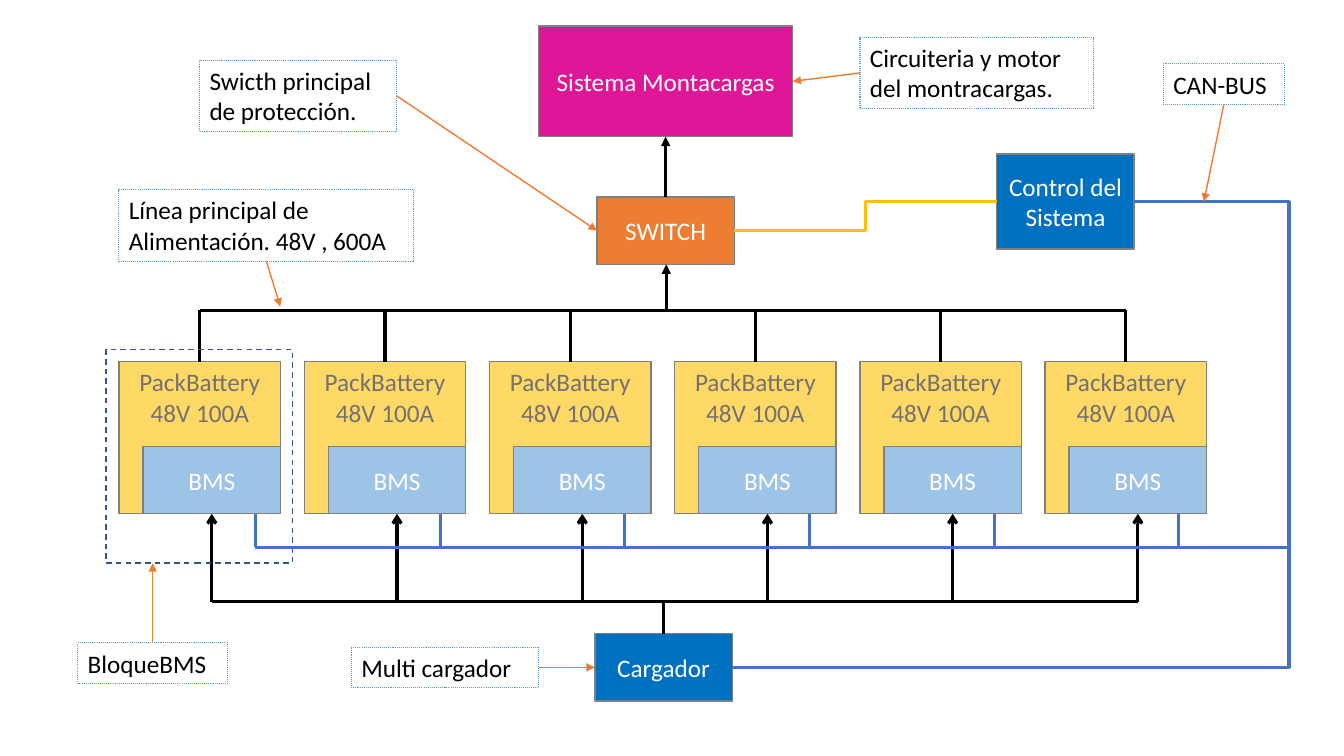
from dataclasses import dataclass
from typing import NamedTuple, Optional

from lxml.etree import SubElement
from pptx import Presentation
from pptx.dml.color import RGBColor
from pptx.enum.dml import MSO_LINE as Dash
from pptx.enum.shapes import MSO_CONNECTOR as Route, MSO_SHAPE as Preset
from pptx.enum.text import MSO_ANCHOR as Anchor, PP_ALIGN as Align
from pptx.oxml.ns import qn
from pptx.util import Pt


@dataclass(frozen=True)
class Theme:
    font: str = "Calibri"
    text_size: float = 18
    wire: float = 2.25
    border: float = 1
    note_border: float = 0.75
    black: str = "000000"
    white: str = "FFFFFF"
    gray: str = "808080"
    pack: str = "FFD966"
    pack_text: str = "767171"
    bms: str = "9DC3E6"
    orange: str = "ED7D31"
    magenta: str = "DE1697"
    blue: str = "0070C0"
    can_bus: str = "4472C4"
    signal: str = "FFC000"
    note_line: str = "5B9BD5"
    group_line: str = "325491"


THEME = Theme()


class Box(NamedTuple):
    left: float
    top: float
    width: float
    height: float
    text: str = ""
    fill: Optional[str] = None
    color: str = THEME.white
    line: str = THEME.gray
    line_width: float = THEME.border
    dash: Optional[Dash] = None
    align: Align = Align.CENTER
    anchor: Anchor = Anchor.MIDDLE


class Wire(NamedTuple):
    x1: float
    y1: float
    x2: float
    y2: float
    color: str = THEME.black
    width: float = THEME.wire
    tip: Optional[str] = None
    route: Route = Route.STRAIGHT
    bend: Optional[float] = None


def note(left: float, top: float, width: float, height: float, text: str) -> Box:
    return Box(left, top, width, height, text, None, THEME.black, THEME.note_line,
               THEME.note_border, Dash.ROUND_DOT, Align.LEFT, Anchor.TOP)


def pointer(x1: float, y1: float, x2: float, y2: float) -> Wire:
    return Wire(x1, y1, x2, y2, THEME.orange, THEME.border, "triangle")


def draw_box(box: Box) -> None:
    shape = slide.shapes.add_shape(
        Preset.RECTANGLE, Pt(box.left), Pt(box.top), Pt(box.width), Pt(box.height))
    shape.shadow.inherit = False
    if box.fill:
        shape.fill.solid()
        shape.fill.fore_color.rgb = RGBColor.from_string(box.fill)
    else:
        shape.fill.background()
    shape.line.color.rgb = RGBColor.from_string(box.line)
    shape.line.width = Pt(box.line_width)
    if box.dash:
        shape.line.dash_style = box.dash
    if not box.text:
        return
    frame = shape.text_frame
    frame.text = box.text
    frame.word_wrap = True
    frame.vertical_anchor = box.anchor
    paragraph = frame.paragraphs[0]
    paragraph.alignment = box.align
    font = paragraph.runs[0].font
    font.name, font.size = THEME.font, Pt(THEME.text_size)
    font.color.rgb = RGBColor.from_string(box.color)


def draw_wire(wire: Wire) -> None:
    connector = slide.shapes.add_connector(
        wire.route, Pt(wire.x1), Pt(wire.y1), Pt(wire.x2), Pt(wire.y2))
    connector.line.color.rgb = RGBColor.from_string(wire.color)
    connector.line.width = Pt(wire.width)
    properties = connector._element.spPr
    if wire.tip:
        SubElement(properties.find(qn("a:ln")), qn("a:tailEnd"), type=wire.tip)
    if wire.bend is not None:
        geometry = properties.find(qn("a:prstGeom"))
        adjustments = geometry.find(qn("a:avLst"))
        if adjustments is None:
            adjustments = SubElement(geometry, qn("a:avLst"))
        SubElement(adjustments, qn("a:gd"), name="adj1",
                   fmla=f"val {round(wire.bend * 100000)}")
    SubElement(properties, qn("a:effectLst"))


presentation = Presentation()
presentation.slide_width, presentation.slide_height = Pt(960), Pt(540)
slide = presentation.slides.add_slide(presentation.slide_layouts[6])

# Battery grid and bus levels
PACKS, PITCH = 6, 132.3
PACK_LEFT, PACK_TOP, PACK_WIDTH, PACK_BOTTOM = 85, 258.4, 115.4, 367
BMS_WIDTH, BMS_HEIGHT = 98.2, 48.2
POWER_Y, CAN_Y, CHARGE_Y = 221.7, 391, 429.8
POWER_X = PACK_LEFT + PACK_WIDTH / 2
CHARGE_X = PACK_LEFT + PACK_WIDTH - BMS_WIDTH / 2
CAN_X, CAN_PITCH, CAN_RIGHT = 182.5, 131.9, 920.4
SPAN = (PACKS - 1) * PITCH

# Battery packs with their BMS, and the wires that serve each one
for index in range(PACKS):
    shift = index * PITCH
    left = PACK_LEFT + shift
    draw_box(Box(left, PACK_TOP, PACK_WIDTH, PACK_BOTTOM - PACK_TOP,
                 "PackBattery 48V 100A", THEME.pack, THEME.pack_text,
                 anchor=Anchor.TOP))
    draw_box(Box(left + PACK_WIDTH - BMS_WIDTH, PACK_BOTTOM - BMS_HEIGHT,
                 BMS_WIDTH, BMS_HEIGHT, "BMS", THEME.bms))
    can_x = CAN_X + index * CAN_PITCH
    draw_wire(Wire(POWER_X + shift, PACK_TOP, POWER_X + shift, POWER_Y))
    draw_wire(Wire(CHARGE_X + shift, CHARGE_Y, CHARGE_X + shift, PACK_BOTTOM,
                   tip="arrow"))
    draw_wire(Wire(can_x, PACK_BOTTOM, can_x, CAN_Y, THEME.can_bus))

# System blocks, notes and the outline of one BMS block
boxes = [
    Box(426.4, 140.7, 98.2, 48.2, "SWITCH", THEME.orange),
    Box(384.7, 18.6, 181.5, 79, "Sistema Montacargas", THEME.magenta),
    Box(424.9, 452.7, 98.2, 48.2, "Cargador", THEME.blue),
    Box(712, 110, 98.2, 67.8, "Control del Sistema", THEME.blue),
    note(85, 135.5, 210.6, 51, "Línea principal de Alimentación. 48V , 600A"),
    note(142.6, 43.2, 141, 51, "Swicth principal de protección."),
    note(251, 462.2, 134, 29, "Multi cargador"),
    note(55.6, 459.2, 107, 29, "BloqueBMS"),
    note(831, 45.6, 86.4, 29, "CAN-BUS"),
    note(614.3, 26.8, 166.6, 51, "Circuiteria y motor del montracargas."),
    Box(75.8, 249.7, 133, 152.6, line=THEME.group_line, dash=Dash.DASH),
]
for box in boxes:
    draw_box(box)

# Power, charging, signal and CAN lines, then the note pointers
wires = [
    Wire(POWER_X + SPAN, POWER_Y, POWER_X, POWER_Y),
    Wire(475.5, 140.7, 475.5, 97.6, tip="triangle"),
    Wire(475.9, POWER_Y, 475.9, 188.9, tip="triangle"),
    Wire(CHARGE_X + SPAN, CHARGE_Y, CHARGE_X, CHARGE_Y),
    Wire(474, 452.7, 474, CHARGE_Y),
    Wire(524.6, 164.7, 712, 144, THEME.signal, route=Route.ELBOW),
    Wire(523.1, 476.7, 810.2, 144, THEME.can_bus, route=Route.ELBOW, bend=1.385),
    Wire(CAN_X, CAN_Y, CAN_RIGHT, CAN_Y, THEME.can_bus),
    pointer(190.3, 186.5, 200.2, 219),
    pointer(283.6, 68.6, 426.4, 164.7),
    pointer(385, 476.7, 424.9, 476.7),
    pointer(109.1, 459.2, 109.1, 402.3),
    pointer(874.2, 74.6, 860, 144),
    pointer(614.3, 52.1, 566.2, 58.1),
]
for wire in wires:
    draw_wire(wire)

presentation.save("out.pptx")
